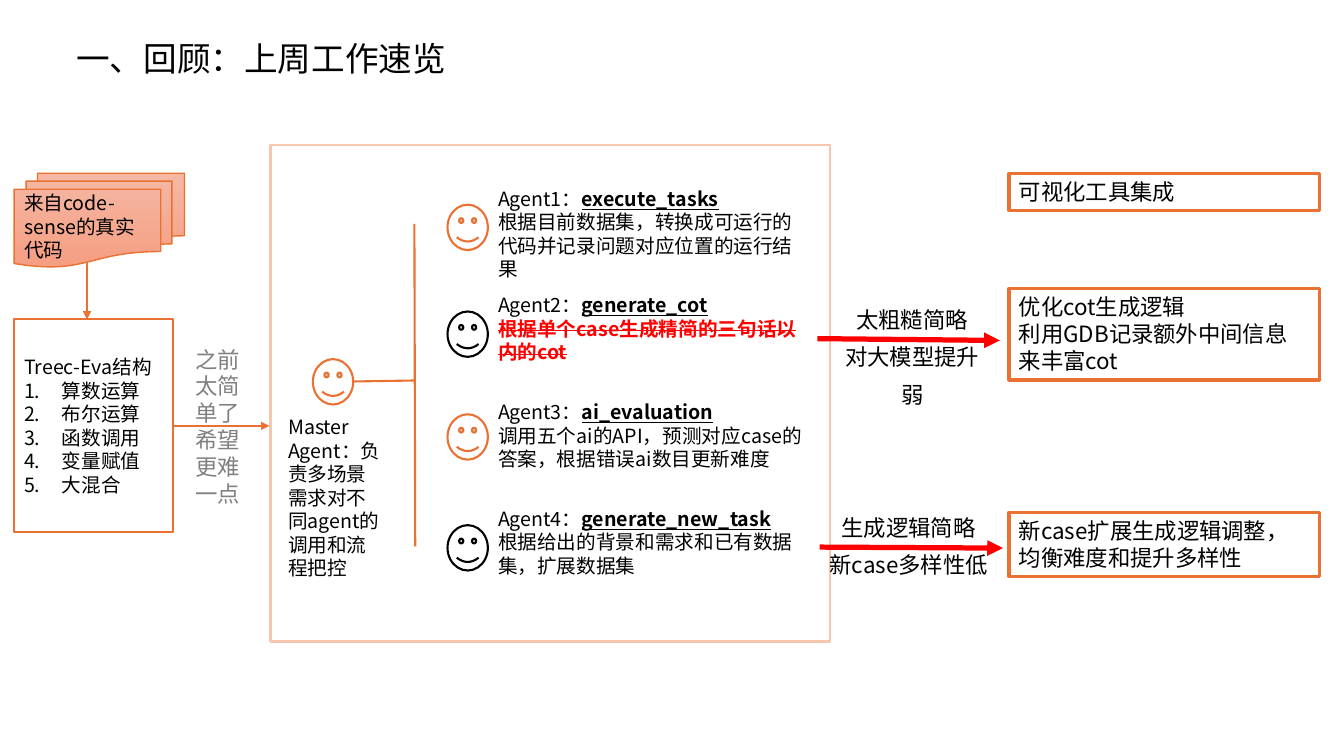
import pptx
import pptx.dml.color
import pptx.enum.dml
import pptx.enum.shapes
import pptx.enum.text
import pptx.oxml
import pptx.oxml.ns
import pptx.util

Pt = pptx.util.Pt
RGBColor = pptx.dml.color.RGBColor
SHAPE = pptx.enum.shapes.MSO_SHAPE
ALIGN = pptx.enum.text.PP_ALIGN
ANCHOR = pptx.enum.text.MSO_ANCHOR

FONT = "Noto Sans CJK SC"
BLACK = RGBColor(0x00, 0x00, 0x00)
WHITE = RGBColor(0xFF, 0xFF, 0xFF)
GREY = RGBColor(0x80, 0x80, 0x80)
RED = RGBColor(0xFF, 0x00, 0x00)
ORANGE = RGBColor(0xE9, 0x71, 0x32)
PEACH = RGBColor(0xF6, 0xC6, 0xAD)
GRADIENT = (RGBColor(0xF5, 0xB8, 0xA5), RGBColor(0xF5, 0x9E, 0x82))

AGENTS = [
    ("Agent1：", "execute_tasks", "根据目前数据集，转换成可运行的代码并记录问题对应位置的运行结果", 146.2, ORANGE, False),
    ("Agent2：", "generate_cot", "根据单个case生成精简的三句话以内的cot", 222.5, BLACK, True),
    ("Agent3：", "ai_evaluation", "调用五个ai的API，预测对应case的答案，根据错误ai数目更新难度", 295.9, ORANGE, False),
    ("Agent4：", "generate_new_task", "根据给出的背景和需求和已有数据集，扩展数据集", 375.1, BLACK, False),
]
AGENT_TOP, AGENT_PITCH = 129.6, 76.3
OPERATIONS = ["算数运算", "布尔运算", "函数调用", "变量赋值", "大混合"]
PLANS = [
    (123.8, 26.6, ["可视化工具集成"]),
    (205.9, 65.5, ["优化cot生成逻辑", "利用GDB记录额外中间信息来丰富cot"]),
    (365.8, 46.1, ["新case扩展生成逻辑调整，均衡难度和提升多样性"]),
]


def add_child(parent, tag, **attrs):
    child = pptx.oxml.parse_xml(f"<a:{tag} {pptx.oxml.ns.nsdecls('a')}/>")
    for name, value in attrs.items():
        child.set(name, value)
    parent.append(child)


def add_run(p, text, size, color=BLACK, bold=False, underline=False, strike=False):
    r = p.add_run()
    r.text = text
    r.font.size = Pt(size)
    r.font.name = FONT
    r.font.bold = bold
    r.font.underline = underline
    r.font.color.rgb = color
    rpr = r.font._element
    add_child(rpr, "ea", typeface=FONT)
    if strike:
        rpr.set("strike", "sngStrike")


def add_lines(tf, lines, size, color=BLACK, align=ALIGN.LEFT, spacing=1.0):
    for i, line in enumerate(lines):
        p = tf.paragraphs[0] if i == 0 else tf.add_paragraph()
        p.alignment = align
        p.line_spacing = spacing
        add_run(p, line, size, color)


def add_text(s, x, y, w, h, wrap=True):
    tf = s.shapes.add_textbox(Pt(x), Pt(y), Pt(w), Pt(h)).text_frame
    tf.word_wrap = wrap
    return tf


def add_box(s, kind, x, y, w, h, color, weight, fill=WHITE):
    sp = s.shapes.add_shape(kind, Pt(x), Pt(y), Pt(w), Pt(h))
    sp.shadow.inherit = False
    if fill is None:
        sp.fill.background()
    else:
        sp.fill.solid()
        sp.fill.fore_color.rgb = fill
    sp.line.color.rgb = color
    sp.line.width = Pt(weight)
    sp.text_frame.word_wrap = True
    sp.text_frame.vertical_anchor = ANCHOR.MIDDLE
    return sp


def add_face(s, x, y, color):
    add_box(s, SHAPE.SMILEY_FACE, x, y, 28.8, 32.4, color, 1.5)


def add_line(s, x1, y1, x2, y2, color=ORANGE, weight=1.5, arrow=False):
    c = s.shapes.add_connector(
        pptx.enum.shapes.MSO_CONNECTOR.STRAIGHT, Pt(x1), Pt(y1), Pt(x2), Pt(y2))
    c.line.color.rgb = color
    c.line.width = Pt(weight)
    if arrow:
        add_child(c.line._get_or_add_ln(), "tailEnd", type="triangle")
    add_child(c._element.spPr, "effectLst")
    return c


def add_agent(s, i, label, name, duty, face_y, face_color, dropped):
    add_face(s, 319.7, face_y, face_color)
    tf = add_text(s, 348.7, AGENT_TOP + i * AGENT_PITCH, 234.7, 58.3)
    p = tf.paragraphs[0]
    add_run(p, label, 14)
    add_run(p, name, 14, bold=True, underline=True)
    add_run(tf.add_paragraph(), duty, 14, RED if dropped else BLACK, bold=dropped, strike=dropped)


def add_problem(s, x, y, w, h, lines):
    add_lines(add_text(s, x, y, w, h), lines, 16, align=ALIGN.CENTER, spacing=1.4)


def add_documents(s):
    sp = add_box(s, SHAPE.FLOWCHART_MULTIDOCUMENT, 10.1, 123.8, 121.7, 67, ORANGE, 1)
    sp.fill.gradient()
    sp.fill.gradient_angle = 270
    for stop, color in zip(sp.fill.gradient_stops, GRADIENT):
        stop.color.rgb = color
    add_lines(sp.text_frame, ["来自code-sense的真实代码"], 14)


def add_structure(s):
    sp = add_box(s, SHAPE.RECTANGLE, 10.1, 228.2, 113.8, 152, ORANGE, 1.5)
    add_lines(sp.text_frame, ["Treec-Eva结构"] + OPERATIONS, 14)
    for p in sp.text_frame.paragraphs[1:]:
        ppr = p._p.get_or_add_pPr()
        ppr.set("marL", str(Pt(27)))
        ppr.set("indent", str(-Pt(27)))
        add_child(ppr, "buFont", typeface="+mj-lt")
        add_child(ppr, "buAutoNum", type="arabicPeriod")
    return sp


def main():
    prs = pptx.Presentation()
    prs.slide_width, prs.slide_height = Pt(960), Pt(540)
    s = prs.slides.add_slide(prs.slide_layouts[6])

    add_lines(add_text(s, 47.5, 23.8, 278.6, 36, wrap=False), ["一、回顾：上周工作速览"], 24)
    add_problem(s, 590.4, 207.4, 122.4, 88.6, ["太粗糙简略", "对大模型提升弱"])

    add_box(s, SHAPE.RECTANGLE, 193.2, 103.3, 399.6, 355, PEACH, 1.5)
    for i, agent in enumerate(AGENTS):
        add_agent(s, i, *agent)
    add_face(s, 223.5, 256.5, ORANGE)
    add_lines(add_text(s, 198.7, 293, 83.5, 126),
              ["Master Agent：负责多场景需求对不同agent的调用和流程把控"], 14)
    add_line(s, 252.2, 272.5, 296, 271.8)
    add_line(s, 296, 160, 296.6, 390.2)

    add_line(s, 583.9, 241.9, 714.2, 243.2, RED, 3.75, arrow=True)
    add_problem(s, 583.2, 355.7, 131.8, 61.2, ["生成逻辑简略", "新case多样性低"])
    add_line(s, 585.4, 390.8, 716.4, 391.5, RED, 3.75, arrow=True)
    for y, h, lines in PLANS:
        sp = add_box(s, SHAPE.RECTANGLE, 720.7, y, 221.8, h, ORANGE, 2.25, fill=None)
        sp.text_frame.vertical_anchor = ANCHOR.TOP
        add_lines(sp.text_frame, lines, 16)

    add_documents(s)
    add_line(s, 62.2, 188, 62.2, 228.2, arrow=True)
    structure = add_structure(s)
    feed = add_line(s, 123.9, 304.2, 192.4, 304.2, arrow=True)
    feed.begin_connect(structure, 3)
    add_lines(add_text(s, 132.5, 243.4, 59, 123.8), ["之前太简单了希望更难一点"], 16, GREY)

    prs.save("out.pptx")


if __name__ == "__main__":
    main()
